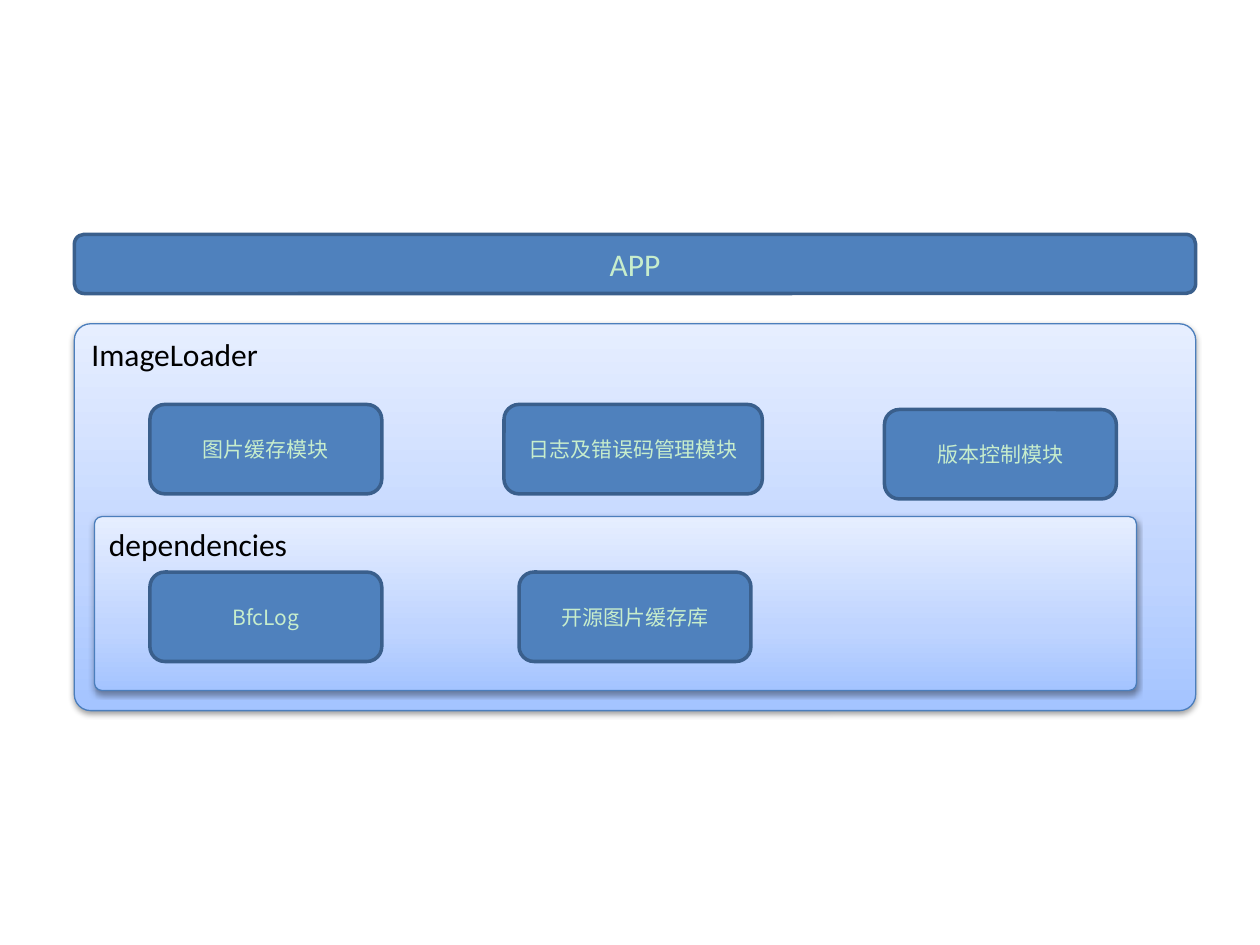
from lxml import etree
from pptx import Presentation
from pptx import util as u
from pptx.dml.color import RGBColor
from pptx.enum import shapes, text
from pptx.oxml import parse_xml
from pptx.oxml.ns import nsdecls, qn

COLORS = {
    "module": "4F81BD", "module_line": "3A5F8C", "module_text": "C7EDCC",
    "panel_line": "4B7EBC", "panel_text": "000000", "shadow": "000000",
    "low": "A4C4FF", "middle": "BFD4FF", "high": "E6EEFF",
}
PANEL_STOPS = [(0, "low"), (35, "middle"), (100, "high")]
LATIN, CJK = "Calibri", "Noto Sans CJK SC"

prs = Presentation()
prs.slide_width, prs.slide_height = u.Inches(10), u.Inches(7.5)
s = prs.slides.add_slide(prs.slide_layouts[6])


def add_box(label, box, size=12, font=CJK, color="module_text", line="module_line",
            width=2, align=text.PP_ALIGN.CENTER, anchor=text.MSO_ANCHOR.MIDDLE):
    """Add a rounded box with a formatted label and return it."""
    sp = s.shapes.add_shape(shapes.MSO_SHAPE.ROUNDED_RECTANGLE, *map(u.Inches, box))
    sp.shadow.inherit = False
    sp.fill.solid()
    sp.fill.fore_color.rgb = RGBColor.from_string(COLORS["module"])
    sp.line.color.rgb = RGBColor.from_string(COLORS[line])
    sp.line.width = u.Pt(width)
    tf = sp.text_frame
    tf.word_wrap = True
    tf.vertical_anchor = anchor
    p = tf.paragraphs[0]
    p.alignment = align
    r = p.add_run()
    r.text = label
    r.font.size = u.Pt(size)
    r.font.name = font
    r.font.color.rgb = RGBColor.from_string(COLORS[color])
    etree.SubElement(r.font._element, qn("a:ea"), typeface=font)
    return sp


def add_panel(label, box):
    """Add a titled panel with a vertical gradient and a soft shadow."""
    sp = add_box(label, box, size=18, font=LATIN, color="panel_text", line="panel_line",
                 width=0.75, align=text.PP_ALIGN.LEFT, anchor=text.MSO_ANCHOR.TOP)
    sp.adjustments[0] = 0.042
    stops = "".join(f'<a:gs pos="{pos * 1000}"><a:srgbClr val="{COLORS[name]}"/></a:gs>'
                    for pos, name in PANEL_STOPS)
    props = sp._element.spPr
    props.replace(props.find(qn("a:solidFill")), parse_xml(
        f'<a:gradFill {nsdecls("a")} rotWithShape="1"><a:gsLst>{stops}</a:gsLst>'
        '<a:lin ang="16200000" scaled="0"/></a:gradFill>'))
    props.find(qn("a:effectLst")).append(parse_xml(
        f'<a:outerShdw {nsdecls("a")} blurRad="{u.Pt(3.1)}" dist="{u.Pt(1.6)}" '
        f'dir="5400000" rotWithShape="0"><a:srgbClr val="{COLORS["shadow"]}">'
        '<a:alpha val="38000"/></a:srgbClr></a:outerShdw>'))


add_panel("ImageLoader", (0.59, 2.57, 8.9, 3.07))
add_box("APP", (0.59, 1.86, 8.9, 0.47), size=18, font=LATIN)
add_panel("dependencies", (0.75, 4.1, 8.27, 1.38))

MODULE_W, MODULE_H = 1.84, 0.71
modules = [
    ("图片缓存模块", 1.19, 3.21, MODULE_W),
    ("日志及错误码管理模块", 4, 3.21, 2.05),
    ("版本控制模块", 7.02, 3.25, MODULE_W),
    ("BfcLog", 1.19, 4.54, MODULE_W),
    ("开源图片缓存库", 4.12, 4.54, MODULE_W),
]
for label, left, top, width in modules:
    add_box(label, (left, top, width, MODULE_H))

prs.save("out.pptx")
